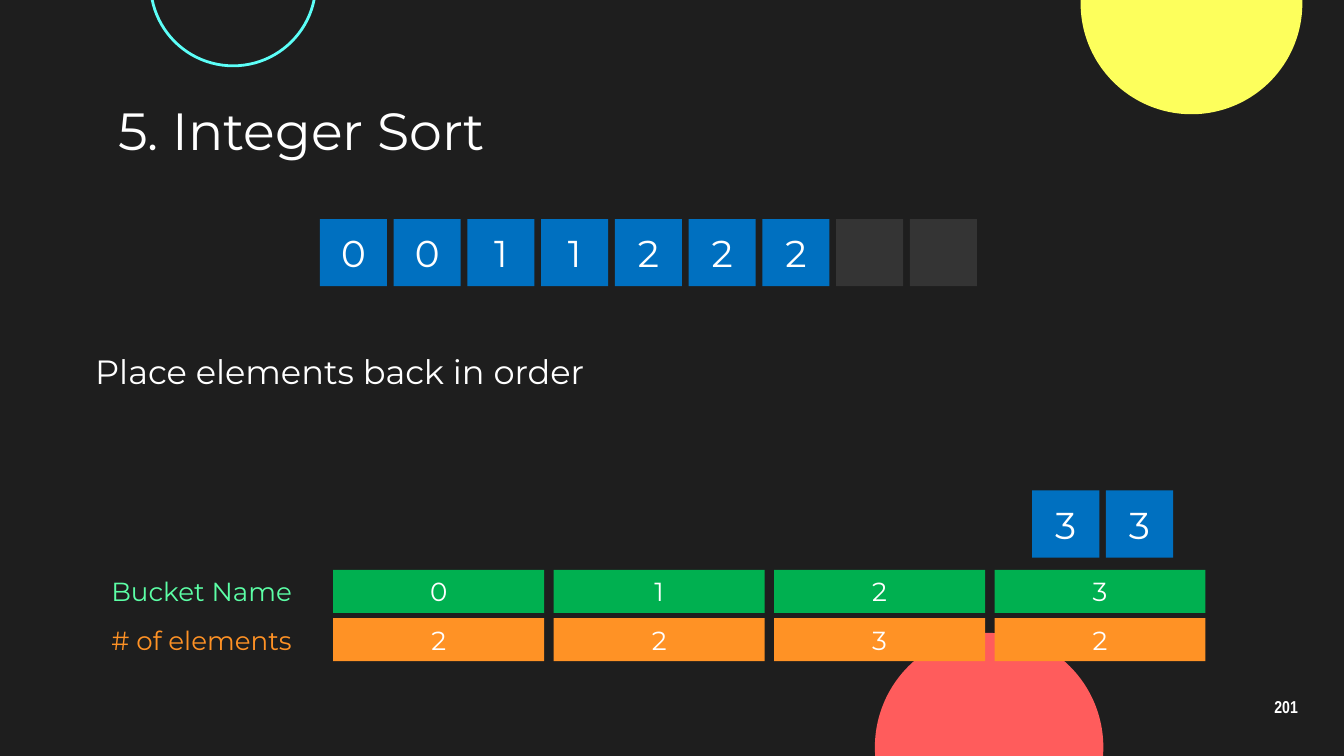
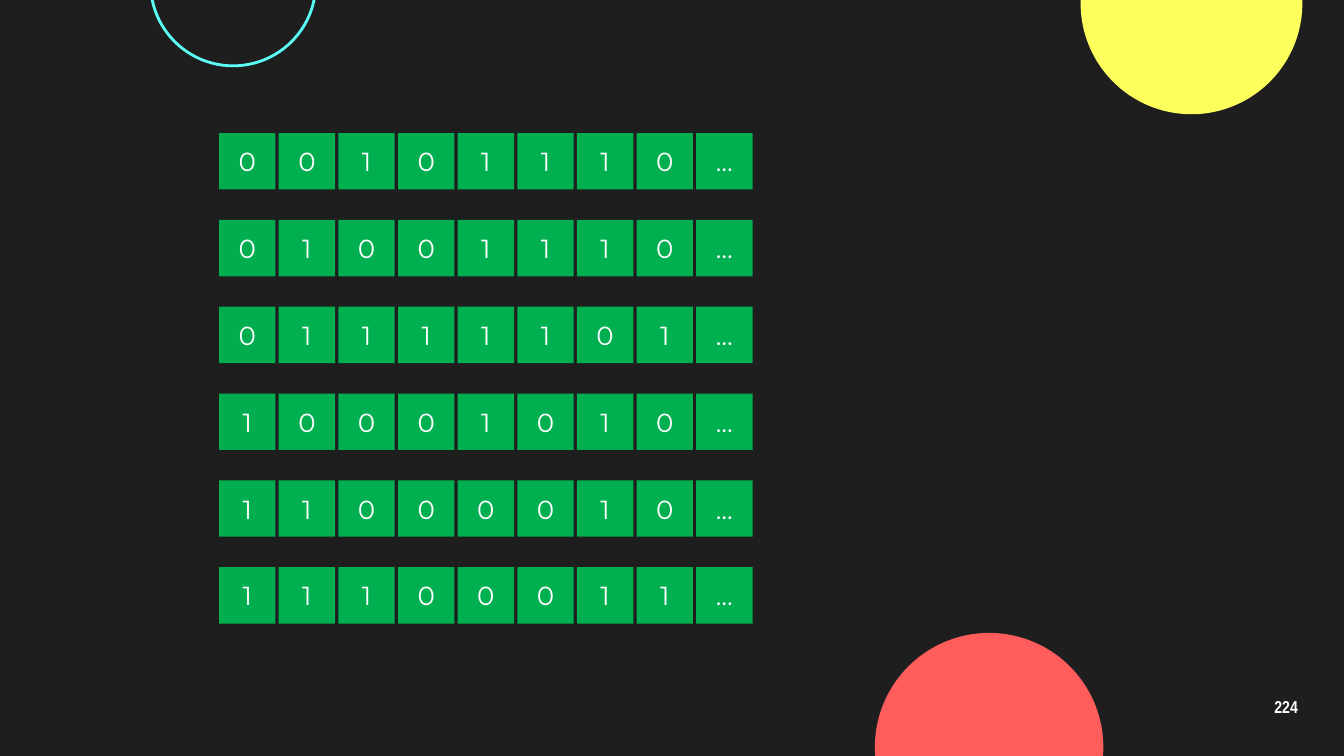
from pptx import Presentation
from pptx.dml.color import RGBColor
from pptx.enum.shapes import MSO_SHAPE
from pptx.enum.text import MSO_ANCHOR, PP_ALIGN
from pptx.util import Inches, Pt

COLORS = {
    "background": "1E1E1E", "white": "FFFFFF", "yellow": "FDFF5C", "cyan": "5CFFF8",
    "red": "FF5C5C", "mint": "5CFFA6", "orange": "FF9225", "green": "00B050",
    "leading green": "00AE4F", "blue": "0070C0", "empty": "343434",
}
BODY_FONT = "Montserrat"
NUMBER_FONT = "Arial Narrow"

CIRCLES = [
    (8.04, -0.8, 1.65, "yellow", None),
    (1.12, -0.74, 1.23, None, "cyan"),
    (6.51, 4.71, 1.7, "red", None),
]

SORT_TITLE = "5. Integer Sort"
SORT_STEP = "Place elements back in order"
ARRAY_SLOTS = ["0", "0", "1", "1", "2", "2", "2", "", ""]
WAITING_ELEMENTS = ["3", "3"]
BUCKET_ROWS = [
    ("Bucket Name", "mint", 4.23, "green", ["0", "1", "2", "3"], 4.24),
    ("# of elements", "orange", 4.6, "orange", ["2", "2", "3", "2"], 4.6),
]
BIT_ROWS = ["00101110…", "01001110…", "01111101…", "10001010…", "11000010…", "11100011…"]


def rgb(name):
    return RGBColor.from_string(COLORS[name])


def style_text(text_frame, size, color="white", font_name=BODY_FONT, align=PP_ALIGN.LEFT, bold=False):
    for paragraph in text_frame.paragraphs:
        paragraph.alignment = align
        for run in paragraph.runs:
            run.font.size = Pt(size)
            run.font.name = font_name
            run.font.bold = bold
            run.font.color.rgb = rgb(color)


def set_insets(text_frame, inset):
    text_frame.margin_left = text_frame.margin_right = Inches(inset)
    text_frame.margin_top = text_frame.margin_bottom = Inches(inset)


def add_filled_shape(shapes, kind, left, top, width, height, fill, line=None):
    shape = shapes.add_shape(kind, Inches(left), Inches(top), Inches(width), Inches(height))
    shape.shadow.inherit = False
    if fill:
        shape.fill.solid()
        shape.fill.fore_color.rgb = rgb(fill)
    else:
        shape.fill.background()
    if line:
        shape.line.color.rgb = rgb(line)
        shape.line.width = Pt(1.5)
    else:
        shape.line.fill.background()
    return shape


def add_cell(shapes, text, left, top, width, height, fill, size):
    shape = add_filled_shape(shapes, MSO_SHAPE.RECTANGLE, left, top, width, height, fill)
    if text:
        shape.text_frame.text = text
        shape.text_frame.vertical_anchor = MSO_ANCHOR.MIDDLE
        style_text(shape.text_frame, size, align=PP_ALIGN.CENTER)


def add_text(slide, text, left, top, width, height, size, **style):
    box = slide.shapes.add_textbox(Inches(left), Inches(top), Inches(width), Inches(height))
    box.text_frame.word_wrap = True
    box.text_frame.text = text
    style_text(box.text_frame, size, **style)
    return box.text_frame


def add_slide(presentation, layout_name, number):
    slide = presentation.slides.add_slide(presentation.slide_layouts.get_by_name(layout_name))
    for left, top, diameter, fill, line in CIRCLES:
        add_filled_shape(slide.shapes, MSO_SHAPE.OVAL, left, top, diameter, diameter, fill, line)
    text_frame = add_text(slide, str(number), 9.27, 5.1, 0.6, 0.34, 9.2,
                          font_name=NUMBER_FONT, align=PP_ALIGN.CENTER, bold=True)
    text_frame.vertical_anchor = MSO_ANCHOR.MIDDLE
    text_frame.paragraphs[0].line_spacing = 0.9
    set_insets(text_frame, 0.1)
    return slide


def set_title(slide, text):
    title = slide.shapes.title
    title.left, title.top, title.width, title.height = map(Inches, (0.78, 0.71, 8.44, 0.51))
    title.text_frame.text = text
    title.text_frame.vertical_anchor = MSO_ANCHOR.MIDDLE
    set_insets(title.text_frame, 0.1)
    style_text(title.text_frame, 28)


def build_integer_sort(presentation):
    slide = add_slide(presentation, "Title Only", 201)
    set_title(slide, SORT_TITLE)
    add_text(slide, SORT_STEP, 0.61, 2.56, 4.24, 0.4, 18)
    for label, label_color, label_top, fill, values, top in BUCKET_ROWS:
        add_text(slide, label, 0.73, label_top, 1.64, 0.34, 14, color=label_color)
        for column, value in enumerate(values):
            add_cell(slide.shapes, value, 2.48 + column * 1.64, top, 1.57, 0.32, fill, 14)
    slot_step = (6.77 - 2.38) / (len(ARRAY_SLOTS) - 1)
    for values, left, top in ((ARRAY_SLOTS, 2.38, 1.63), (WAITING_ELEMENTS, 7.68, 3.65)):
        for column, value in enumerate(values):
            fill = "blue" if value else "empty"
            add_cell(slide.shapes, value, left + column * slot_step, top, 0.5, 0.5, fill, 20)


def build_bit_rows(presentation):
    slide = add_slide(presentation, "Blank", 224)
    column_step = (5.18 - 1.63) / (len(BIT_ROWS[0]) - 1)
    row_step = (4.22 - 0.99) / (len(BIT_ROWS) - 1)
    for row, bits in enumerate(BIT_ROWS):
        group = slide.shapes.add_group_shape()
        for column, bit in enumerate(bits):
            fill = "green" if column else "leading green"
            add_cell(group.shapes, bit, 1.63 + column * column_step, 0.99 + row * row_step,
                     0.42, 0.42, fill, 14)


def main():
    presentation = Presentation()
    presentation.slide_width = Inches(10)
    presentation.slide_height = Inches(10 * 9 / 16)
    background = presentation.slide_master.background.fill
    background.solid()
    background.fore_color.rgb = rgb("background")
    build_integer_sort(presentation)
    build_bit_rows(presentation)
    presentation.save("out.pptx")


if __name__ == "__main__":
    main()
